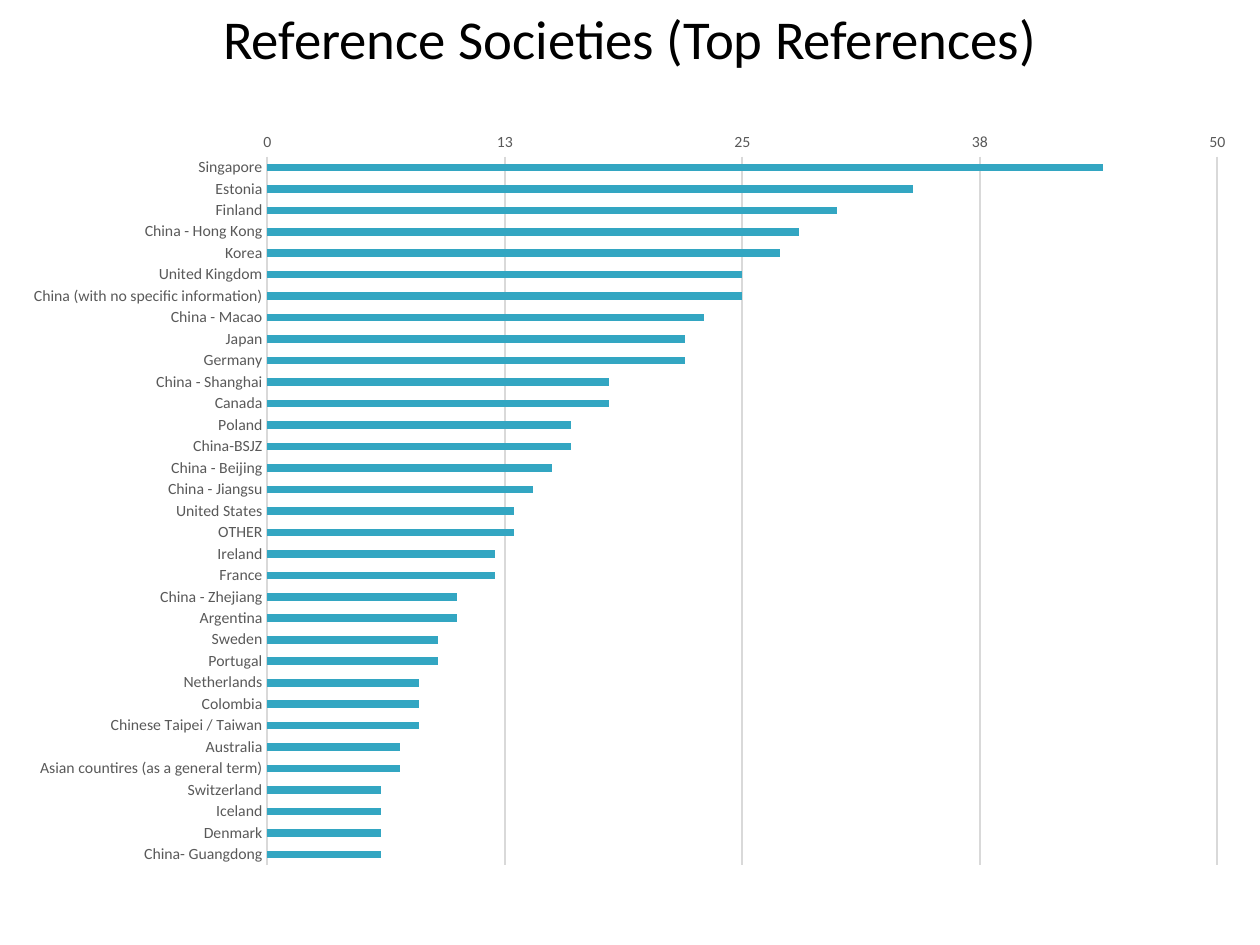
"""Build a slide with a ranked bar chart of reference societies."""
from typing import NamedTuple

from lxml import etree
from pptx import Presentation
from pptx.chart.data import CategoryChartData
from pptx.dml.color import RGBColor
from pptx.enum import chart as kinds, text
from pptx.oxml import ns
from pptx.util import Pt

BLACK = RGBColor(0x00, 0x00, 0x00)
GRAY = RGBColor(0x59, 0x59, 0x59)
PALE = RGBColor(0xD9, 0xD9, 0xD9)
TEAL = RGBColor(0x33, 0xA6, 0xC2)
FACE = "Calibri"


class Box(NamedTuple):
    left: float
    top: float
    width: float
    height: float

    def points(self) -> list:
        return [Pt(v) for v in self]


class Society(NamedTuple):
    name: str
    count: int


TITLE = Box(36, 2.2, 648, 38)
CHART = Box(11.5, 76.3, 689, 435)
PLOT = {"x": 0.205, "y": 0.021, "w": 0.788, "h": 0.94}
RANKS = [
    Society("Singapore", 44),
    Society("Estonia", 34),
    Society("Finland", 30),
    Society("China - Hong Kong", 28),
    Society("Korea", 27),
    Society("United Kingdom", 25),
    Society("China (with no specific information)", 25),
    Society("China - Macao", 23),
    Society("Japan", 22),
    Society("Germany", 22),
    Society("China - Shanghai", 18),
    Society("Canada", 18),
    Society("Poland", 16),
    Society("China-BSJZ", 16),
    Society("China - Beijing", 15),
    Society("China - Jiangsu", 14),
    Society("United States", 13),
    Society("OTHER", 13),
    Society("Ireland", 12),
    Society("France", 12),
    Society("China - Zhejiang", 10),
    Society("Argentina", 10),
    Society("Sweden", 9),
    Society("Portugal", 9),
    Society("Netherlands", 8),
    Society("Colombia", 8),
    Society("Chinese Taipei / Taiwan", 8),
    Society("Australia", 7),
    Society("Asian countires (as a general term)", 7),
    Society("Switzerland", 6),
    Society("Iceland", 6),
    Society("Denmark", 6),
    Society("China- Guangdong", 6),
]


def set_title(shape, words: str) -> None:
    shape.left, shape.top, shape.width, shape.height = TITLE.points()
    frame = shape.text_frame
    frame.text = words
    frame.auto_size = text.MSO_AUTO_SIZE.NONE
    frame.vertical_anchor = text.MSO_ANCHOR.MIDDLE
    frame.margin_left = frame.margin_right = Pt(3.6)
    frame.margin_top = frame.margin_bottom = Pt(3.6)
    line = frame.paragraphs[0]
    line.alignment = text.PP_ALIGN.CENTER
    line.font.name, line.font.size = FACE, Pt(31.3)
    line.font.color.rgb = BLACK


def style_line(line) -> None:
    line.color.rgb = PALE
    line.width = Pt(1)


def style_axis(axis) -> None:
    axis.major_tick_mark = axis.minor_tick_mark = kinds.XL_TICK_MARK.NONE
    font = axis.tick_labels.font
    font.name, font.size = FACE, Pt(9)
    font.color.rgb = GRAY


def place_plot(chart) -> None:
    area = chart.element.find(".//" + ns.qn("c:plotArea"))
    for old in area.findall(ns.qn("c:layout")):
        area.remove(old)
    layout = etree.Element(ns.qn("c:layout"))
    manual = etree.SubElement(layout, ns.qn("c:manualLayout"))
    modes = {"layoutTarget": "inner", "xMode": "edge", "yMode": "edge"}
    for tag, val in (modes | PLOT).items():
        etree.SubElement(manual, ns.qn("c:" + tag)).set("val", str(val))
    area.insert(0, layout)


def add_bars(slide, ranks: list[Society]) -> None:
    data = CategoryChartData()
    data.categories = [r.name for r in ranks]
    data.add_series("Series 1", [r.count for r in ranks])
    kind = kinds.XL_CHART_TYPE.BAR_CLUSTERED
    chart = slide.shapes.add_chart(kind, *CHART.points(), data).chart
    chart.has_title = chart.has_legend = False
    chart.font.name, chart.font.size = "Arial", Pt(10)
    chart.font.color.rgb = BLACK
    place_plot(chart)

    plot = chart.plots[0]
    plot.gap_width = 182
    plot.vary_by_categories = False
    fill = plot.series[0].format.fill
    fill.solid()
    fill.fore_color.rgb = TEAL

    names, scale = chart.category_axis, chart.value_axis
    for axis in (names, scale):
        style_axis(axis)
    names.reverse_order = True
    names.crosses = kinds.XL_AXIS_CROSSES.MAXIMUM
    names.has_major_gridlines = False
    style_line(names.format.line)
    scale.minimum_scale, scale.maximum_scale = 0, 50
    scale.major_unit = 12.5
    scale.tick_labels.number_format = "0"
    scale.tick_labels.number_format_is_linked = False
    scale.format.line.fill.background()
    style_line(scale.major_gridlines.format.line)


def main() -> None:
    deck = Presentation()
    deck.slide_width, deck.slide_height = Pt(720), Pt(540)
    slide = deck.slides.add_slide(deck.slide_layouts[5])
    set_title(slide.shapes.title, "Reference Societies (Top References)")
    add_bars(slide, RANKS)
    deck.save("out.pptx")


if __name__ == "__main__":
    main()
